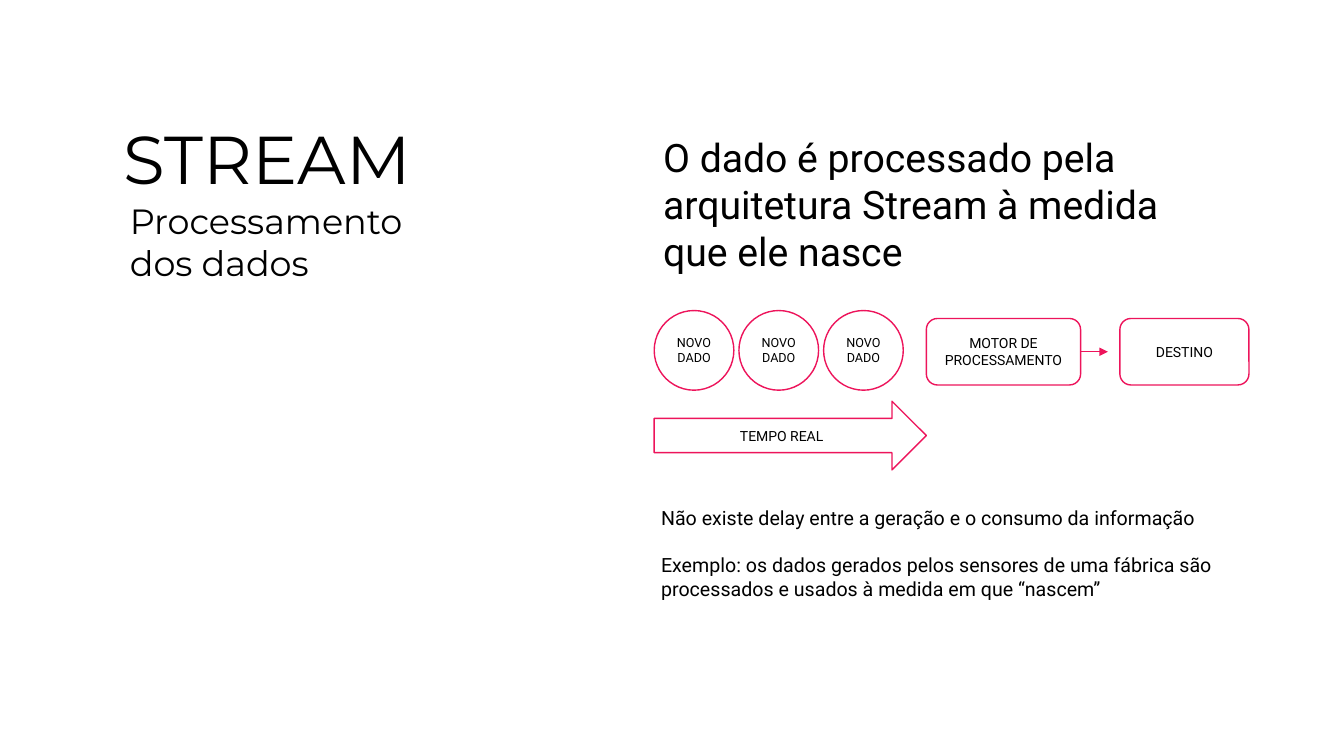
from dataclasses import dataclass

from pptx import Presentation
from pptx.dml.color import RGBColor
from pptx.enum import shapes, text
from pptx.oxml import xmlchemy
from pptx.oxml.ns import qn
from pptx.util import Pt
from lxml import etree


@dataclass(frozen=True)
class Theme:
    ink: RGBColor = RGBColor(0, 0, 0)
    paper: RGBColor = RGBColor(255, 255, 255)
    pink: RGBColor = RGBColor(0xED, 0x14, 0x5B)
    head: str = "Montserrat"
    body: str = "Roboto"
    title: float = 48.3
    sub: float = 25
    lead: float = 28
    note: float = 14
    label: float = 10
    small: float = 9


THEME = Theme()
KIND = shapes.MSO_SHAPE


def write(frame, words, size, font=THEME.body, align=None, gap=0):
    """Fill a text frame, one paragraph per line, with a gap between them."""
    frame.word_wrap = True
    for i, line in enumerate(words.split("\n")):
        para = frame.add_paragraph() if i else frame.paragraphs[0]
        para.alignment = align
        if i and gap:
            para.space_before = Pt(gap)
        run = para.add_run()
        run.text = line
        run.font.size = Pt(size)
        run.font.name = font
        run.font.color.rgb = THEME.ink


def add_text(slide, box, words, size, **fmt):
    frame = slide.shapes.add_textbox(*map(Pt, box)).text_frame
    write(frame, words, size, **fmt)
    frame.auto_size = text.MSO_AUTO_SIZE.SHAPE_TO_FIT_TEXT


def add_node(slide, kind, box, words, size=THEME.label):
    node = slide.shapes.add_shape(kind, *map(Pt, box))
    node.shadow.inherit = False
    node.fill.solid()
    node.fill.fore_color.rgb = THEME.paper
    node.line.color.rgb = THEME.pink
    node.line.width = Pt(1)
    node.text_frame.vertical_anchor = text.MSO_ANCHOR.MIDDLE
    write(node.text_frame, words, size, align=text.PP_ALIGN.CENTER)
    return node


def add_link(slide, start, end_x):
    """Draw a level arrow from the right side of a box."""
    mid = start.top + start.height // 2
    link = slide.shapes.add_connector(
        shapes.MSO_CONNECTOR.STRAIGHT, start.left + start.width, mid, Pt(end_x), mid)
    link.begin_connect(start, 3)
    link.line.color.rgb = THEME.pink
    link.line.width = Pt(0.5)
    etree.SubElement(link.line._get_or_add_ln(), qn("a:tailEnd"), type="triangle")
    etree.SubElement(link._element.spPr, qn("a:effectLst"))


def main():
    deck = Presentation()
    deck.slide_width, deck.slide_height = Pt(960), Pt(540)
    slide = deck.slides.add_slide(deck.slide_layouts[6])

    # Heading on the left
    add_text(slide, (81.4, 79.9, 401.8, 65.5), "STREAM", THEME.title, font=THEME.head)
    add_text(slide, (85.7, 139, 401.8, 67.7), "Processamento\ndos dados",
             THEME.sub, font=THEME.head)

    # Statement and notes on the right
    add_text(slide, (466.6, 91.4, 443.5, 108.7),
             "O dado é processado pela arquitetura Stream à medida\nque ele nasce",
             THEME.lead)
    add_text(slide, (465.1, 357.8, 424.8, 74.9),
             "Não existe delay entre a geração e o consumo da informação\n"
             "Exemplo: os dados gerados pelos sensores de uma fábrica são "
             "processados e usados à medida em que “nascem”",
             THEME.note, gap=17)

    # Incoming data over the time arrow
    left, step, side = 467.3, 60.5, 56.9
    for i in range(3):
        add_node(slide, KIND.OVAL, (left + i * step, 221.8, side, side),
                 "NOVO DADO", THEME.small)
    add_node(slide, KIND.RIGHT_ARROW, (left, 286.6, 194.4, 49), "TEMPO REAL")

    # Engine and target
    top, high = 227.5, 47.5
    engine = add_node(slide, KIND.ROUNDED_RECTANGLE, (661.7, top, 110.2, high),
                      "MOTOR DE\nPROCESSAMENTO")
    add_node(slide, KIND.ROUNDED_RECTANGLE, (799.9, top, 92.2, high), "DESTINO")
    add_link(slide, engine, 791.3)

    deck.save("out.pptx")


if __name__ == "__main__":
    main()
